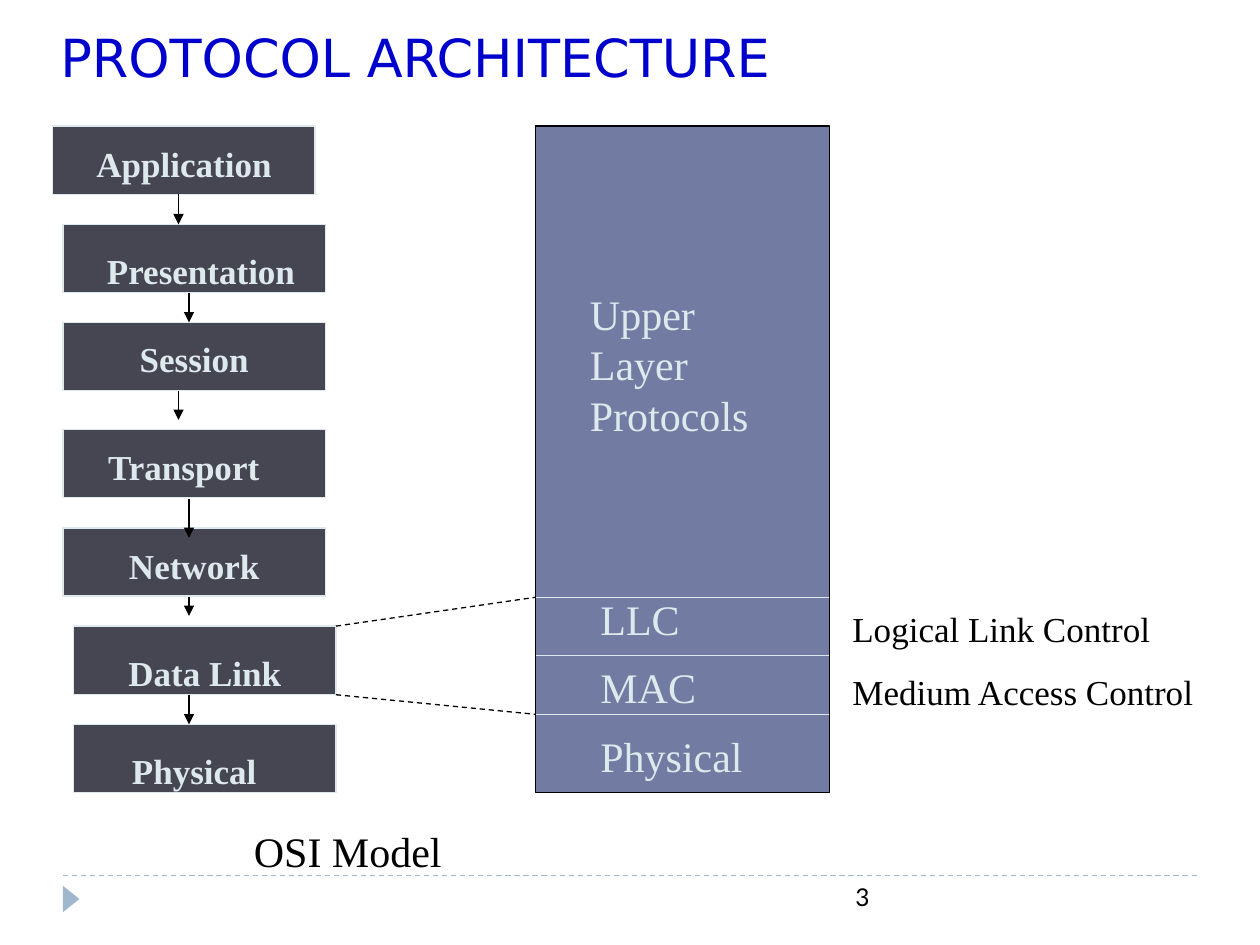
"""Build the protocol architecture slide with the OSI stack and its LAN counterpart."""
from lxml.etree import SubElement
from pptx import Presentation
from pptx.dml.color import RGBColor
from pptx.enum.dml import MSO_LINE
from pptx.enum.shapes import MSO_CONNECTOR, MSO_SHAPE
from pptx.enum.text import PP_ALIGN as ALIGN
from pptx.oxml.ns import qn
from pptx.util import Pt

COLORS = {
    "title": "0000CC",
    "black": "000000",
    "layer": "464653",
    "pale": "DDE9EC",
    "panel": "727CA3",
    "accent": "9FB8CD",
}
SERIF = "Times New Roman"
LAYER_WIDTH, LAYER_HEIGHT = 150, 39
PANEL_LEFT, PANEL_RIGHT, PANEL_TOP, PANEL_BOTTOM = 306, 474, 72, 453
LAYERS = [
    ("Application", 30, 72, 48, 77.8, 126, ALIGN.LEFT),
    ("Presentation", 36, 128.2, 54, 139, 126, ALIGN.LEFT),
    ("Session", 36, 184.3, 48, 189.4, 126, ALIGN.CENTER),
    ("Transport", 36, 245.5, 48, 251.3, 114, ALIGN.CENTER),
    ("Network", 36, 301.7, 48, 307.4, 126, ALIGN.CENTER),
    ("Data Link", 42, 357.8, 54, 368.6, 126, ALIGN.CENTER),
    ("Physical", 42, 414, 48, 424.8, 126, ALIGN.CENTER),
]
ARROWS = [
    (102, 111, 128.2),
    (108, 167.2, 184.3),
    (102, 223.2, 240),
    (108, 285, 307.4),
    (108, 341, 352),
    (108, 397, 414),
]
DIVIDERS = [341.3, 374.4, 408.2]
PANEL_LABELS = [
    ("Upper Layer Protocols", 330, 161.3, 115),
    ("LLC", 336, 335.5, 132),
    ("MAC", 336, 374.4, 96),
    ("Physical", 336, 414, 132),
]


def color(name):
    """Return the named palette colour."""
    return RGBColor.from_string(COLORS[name])


def add_block(slide, kind, left, top, width, height, fill, outline=None):
    """Add a filled preset shape, outlined when a colour is given."""
    shape = slide.shapes.add_shape(kind, Pt(left), Pt(top), Pt(width), Pt(height))
    shape.shadow.inherit = False
    shape.fill.solid()
    shape.fill.fore_color.rgb = color(fill)
    if outline:
        shape.line.color.rgb = color(outline)
        shape.line.width = Pt(0.75)
    else:
        shape.line.fill.background()
    return shape


def add_line(slide, start, end, line_color="black", dashed=False, arrow=False):
    """Add a thin straight line, optionally dashed or with an arrowhead."""
    points = [Pt(value) for value in (*start, *end)]
    line = slide.shapes.add_connector(MSO_CONNECTOR.STRAIGHT, *points)
    line.line.color.rgb = color(line_color)
    line.line.width = Pt(0.75)
    if dashed:
        line.line.dash_style = MSO_LINE.DASH
    if arrow:
        SubElement(line.line._get_or_add_ln(), qn("a:tailEnd"), type="triangle")
    SubElement(line._element.spPr, qn("a:effectLst"))


def add_text(slide, lines, left, top, width, height, size, text_color="black",
             font=SERIF, bold=False, align=ALIGN.LEFT, gap=0):
    """Add a wrapped text box with one paragraph per line."""
    box = slide.shapes.add_textbox(Pt(left), Pt(top), Pt(width), Pt(height))
    frame = box.text_frame
    frame.word_wrap = True
    for index, text in enumerate(lines):
        paragraph = frame.add_paragraph() if index else frame.paragraphs[0]
        paragraph.alignment = align
        if index:
            paragraph.space_before = Pt(gap)
        run = paragraph.add_run()
        run.text = text
        run.font.name = font
        run.font.size = Pt(size)
        run.font.bold = bold
        run.font.color.rgb = color(text_color)


def add_footer(slide):
    """Add the dashed rule, the marker and the page number."""
    add_line(slide, (36, 500.4), (684, 500.4), "accent", dashed=True)
    marker = add_block(slide, MSO_SHAPE.ISOSCELES_TRIANGLE, 33.1, 509, 15.1, 9.4, "accent")
    marker.rotation = 90
    add_text(slide, ["3"], 228.2, 500.4, 275.8, 28.8, 14, font="Lato", align=ALIGN.RIGHT)


def add_osi_stack(slide):
    """Add the seven layers, their labels and the arrows between them."""
    for name, left, top, label_left, label_top, label_width, align in LAYERS:
        add_block(slide, MSO_SHAPE.RECTANGLE, left, top, LAYER_WIDTH, LAYER_HEIGHT,
                  "layer", "pale")
        add_text(slide, [name], label_left, label_top, label_width, 31.7, 20, "pale",
                 bold=True, align=align)
    for x, top, bottom in ARROWS:
        add_line(slide, (x, top), (x, bottom), arrow=True)
    add_text(slide, ["OSI Model"], 138, 468, 186, 36, 24)


def add_lan_panel(slide):
    """Add the divided panel and the lines that tie it to the data link layer."""
    add_block(slide, MSO_SHAPE.RECTANGLE, PANEL_LEFT, PANEL_TOP, PANEL_RIGHT - PANEL_LEFT,
              PANEL_BOTTOM - PANEL_TOP, "panel", "black")
    for y in DIVIDERS:
        add_line(slide, (PANEL_LEFT, y), (PANEL_RIGHT, y), "pale")
    for layer_y, panel_y in ((357.8, DIVIDERS[0]), (397, DIVIDERS[-1])):
        add_line(slide, (192, layer_y), (PANEL_LEFT, panel_y), dashed=True)
    for text, left, top, width in PANEL_LABELS:
        add_text(slide, [text], left, top, width, 36, 24, "pale")
    add_text(slide, ["Logical Link Control", "Medium Access Control"],
             480, 343.4, 228, 67.7, 20, gap=12.5)


def main():
    """Build and save the slide."""
    presentation = Presentation()
    presentation.slide_width, presentation.slide_height = Pt(720), Pt(540)
    slide = presentation.slides.add_slide(presentation.slide_layouts[6])
    add_footer(slide)
    add_text(slide, ["PROTOCOL ARCHITECTURE"], 27.4, 10.8, 640, 42, 30, "title",
             font="DejaVu Sans")
    add_osi_stack(slide)
    add_lan_panel(slide)
    presentation.save("out.pptx")


if __name__ == "__main__":
    main()
